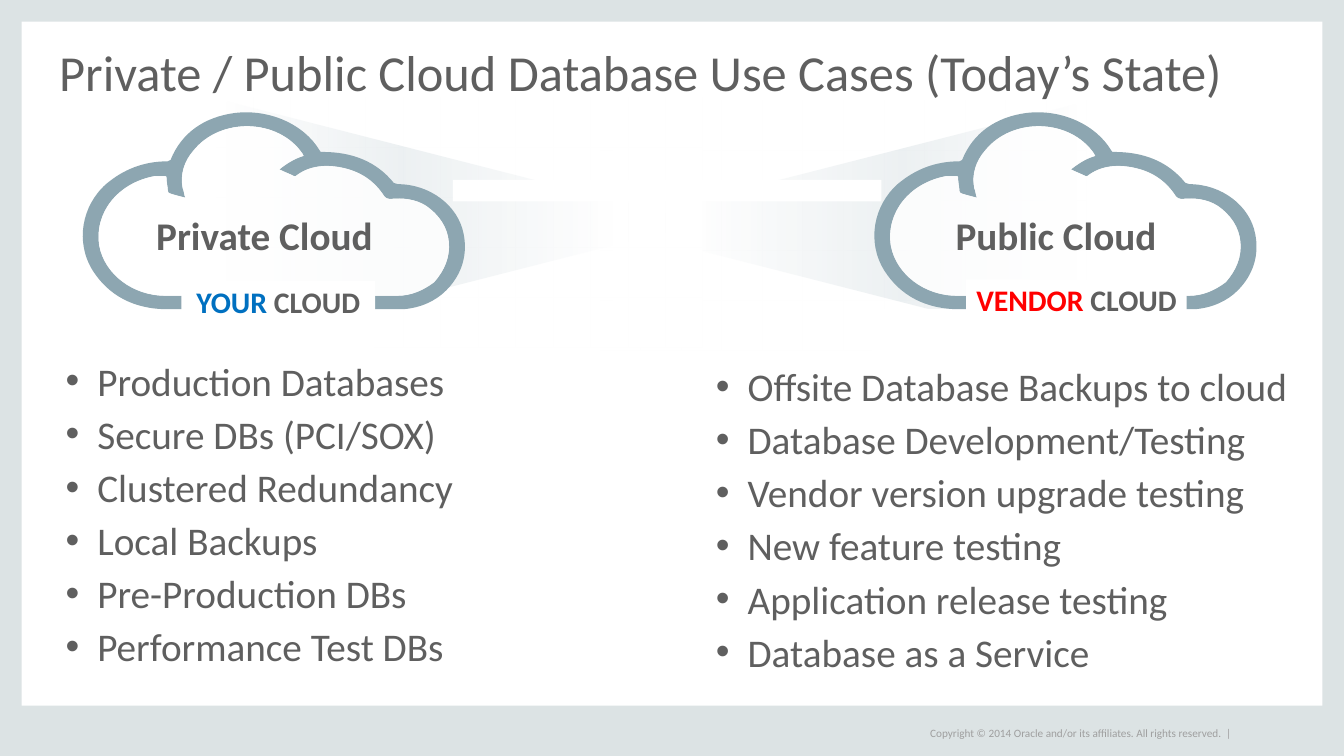
from lxml import etree
from pptx import Presentation
from pptx.dml.color import RGBColor
from pptx.enum.shapes import MSO_SHAPE
from pptx.enum.text import MSO_ANCHOR, PP_ALIGN
from pptx.oxml import parse_xml
from pptx.oxml.ns import nsdecls, qn
from pptx.util import Cm, Pt

RECT, WEDGE = MSO_SHAPE.RECTANGLE, MSO_SHAPE.ISOSCELES_TRIANGLE
TOP, MIDDLE, BOTTOM = MSO_ANCHOR.TOP, MSO_ANCHOR.MIDDLE, MSO_ANCHOR.BOTTOM
LEFT, CENTER = PP_ALIGN.LEFT, PP_ALIGN.CENTER
HEX = {"frame": "DCE3E4", "steel": "8DA6B1", "white": "FFFFFF", "text": "5F5F5F",
       "faint": "9F9F9F", "red": "FF0000", "blue": "0070C0"}
WIDE, HIGH = 25.4, 14.29
PAD = (0.25, 0.13, 0.25, 0.13)

# Cloud curves on a grid 292 wide: a start point, then three points a curve
GRID = 292
RIM = [(153, 149), (125, 149), (97, 149), (69, 149), (44, 149), (25, 139), (13, 120),
       (0, 99), (5, 72), (23, 56), (36, 45), (51, 39), (69, 39),
       (70, 39), (70, 39), (71, 38), (79, 18), (96, 6), (119, 3),
       (144, 0), (170, 11), (182, 31), (182, 32), (183, 32), (184, 32),
       (206, 32), (224, 39), (237, 55), (238, 56), (238, 56), (240, 56),
       (264, 56), (285, 72), (289, 93), (292, 108), (288, 123), (276, 135),
       (268, 143), (257, 148), (244, 149)]
CORE = [(82, 66), (78, 65), (74, 64), (71, 63), (70, 63), (69, 62), (69, 61),
        (69, 58), (68, 55), (68, 51), (68, 50), (68, 50), (66, 50),
        (64, 50), (62, 50), (59, 50), (32, 55), (14, 77), (18, 102),
        (22, 123), (43, 139), (67, 139), (125, 139), (182, 139), (240, 139),
        (250, 139), (259, 135), (267, 129), (275, 120), (279, 110), (278, 99),
        (277, 88), (271, 79), (261, 72), (253, 67), (244, 66), (234, 67),
        (232, 67), (231, 66), (230, 65), (223, 54), (213, 47), (200, 44),
        (187, 41), (174, 42), (164, 50), (163, 50), (163, 50), (163, 50),
        (159, 48), (156, 47), (152, 45), (157, 41), (163, 37), (170, 35),
        (170, 34), (170, 34), (169, 33), (151, 7), (108, 6), (88, 31),
        (81, 39), (78, 49), (80, 59), (81, 61), (81, 64), (82, 66)]


def apply(item, values):
    for name, value in values.items():
        setattr(item, name, value)


def paint(shape, fill, line=None):
    shape.shadow.inherit = False
    shape.fill.solid()
    shape.fill.fore_color.rgb = RGBColor.from_string(HEX[fill])
    if line:
        shape.line.color.rgb = RGBColor.from_string(HEX[line])
        shape.line.width = Pt(1.5)
    else:
        shape.line.fill.background()
    return shape


def block(slide, box, fill, kind=RECT, line=None):
    return paint(slide.shapes.add_shape(kind, *map(Cm, box)), fill, line)


def write(shape, lines, size, bold=False, align=LEFT, space=None,
          pad=PAD, anchor=TOP, wrap=True, bullet=False):
    """Fill a shape with lines, each a list of (text, colour) runs."""
    frame = shape.text_frame
    sides = ("margin_left", "margin_top", "margin_right", "margin_bottom")
    apply(frame, dict(zip(sides, map(Cm, pad))))
    apply(frame, {"word_wrap": wrap, "vertical_anchor": anchor})
    for i, runs in enumerate(lines):
        para = frame.add_paragraph() if i else frame.paragraphs[0]
        apply(para, {"alignment": align, "line_spacing": space})
        if bullet:
            props = para._p.get_or_add_pPr()
            props.set("marL", str(Cm(0.6)))
            props.set("indent", str(-Cm(0.6)))
            etree.SubElement(props, qn("a:buFont")).set("typeface", "Arial")
            etree.SubElement(props, qn("a:buChar")).set("char", "•")
        for text, color in runs:
            run = para.add_run()
            run.text = text
            apply(run.font, {"name": "Calibri", "size": Pt(size), "bold": bold})
            run.font.color.rgb = RGBColor.from_string(HEX[color])


def label(slide, box, lines, size, **style):
    write(slide.shapes.add_textbox(*map(Cm, box)), lines, size, **style)


def border(slide, box):
    x, y, w, h = box
    edge, foot = 0.41, 0.95
    for part in ((x, y, edge, h), (x + w - edge, y, edge, h),
                 (x, y + h - foot, w, foot), (x, y, w, edge)):
        block(slide, part, "frame")
    note = "Copyright © 2014 Oracle and/or its affiliates. All rights reserved.  |"
    label(slide, (x + 17.58, y + 13.67, 5.82, 0.38), [[(note, "faint")]], 6,
          pad=(0, 0, 0, 0), anchor=MIDDLE, wrap=False)


def beam(slide, box, turn, patch):
    """Draw a wedge behind a fading veil; turn 90 points right, 270 left."""
    x, y, w, h = box
    base, length = 4.52, 8.84
    shift = 0.05 if turn == 90 else -0.05
    wedge = block(slide, (x + (w - base) / 2 + shift, y + (h - length) / 2, base, length),
                  "steel", WEDGE, "steel")
    wedge.rotation = turn
    veil = block(slide, box, "white")
    veil.rotation = turn - 90
    stops = "".join(
        f'<a:gs pos="{pos * 1000}"><a:srgbClr val="{HEX["white"]}">'
        f'<a:alpha val="{alpha * 1000}"/></a:srgbClr></a:gs>'
        for pos, alpha in ((17, 100), (62, 83), (100, 100)))
    fade = parse_xml(f'<a:gradFill {nsdecls("a")} rotWithShape="1"><a:gsLst>{stops}'
                     '</a:gsLst><a:lin ang="10800000" scaled="0"/></a:gradFill>')
    solid = veil._element.spPr.find(qn("a:solidFill"))
    solid.getparent().replace(solid, fade)
    block(slide, patch, "white")


def bend(shape):
    """Turn every three straight segments into one cubic curve."""
    lines = list(shape._element.iter(qn("a:lnTo")))
    for i in range(0, len(lines), 3):
        curve, *ends = lines[i:i + 3]
        cubic = etree.Element(qn("a:cubicBezTo"))
        curve.addprevious(cubic)
        for line in (curve, *ends):
            cubic.append(line[0])
            line.getparent().remove(line)


def outline(slide, box, loops, fill):
    x, y, w, _ = box
    first, *rest = loops
    pen = slide.shapes.build_freeform(*first[0], scale=Cm(w) / GRID)
    pen.add_line_segments(first[1:], close=True)
    for loop in rest:
        pen.move_to(*loop[0])
        pen.add_line_segments(loop[1:], close=True)
    shape = paint(pen.convert_to_shape(Cm(x), Cm(y)), fill)
    bend(shape)
    return shape


def cloud(slide, box, name, owner, color, tag):
    x, y, w, _ = box
    outline(slide, box, (RIM, CORE), "steel")
    core = outline(slide, box, (CORE,), "white")
    tint = core._element.spPr.find(qn("a:solidFill"))[0]
    etree.SubElement(tint, qn("a:alpha")).set("val", "80000")
    label(slide, (x + 0.8, y + 1.9, 5.56, 1.07), [[(name, "text")]], 21,
          bold=True, align=CENTER, space=0.9)
    write(block(slide, tag, "white"), [[(owner + " ", color), ("CLOUD", "text")]], 16,
          bold=True, align=CENTER, space=0.9, wrap=False)


def cases(slide, box, items):
    label(slide, box, [[(item, "text")] for item in items], 21,
          space=Pt(28.5), bullet=True)


def main():
    deck = Presentation()
    apply(deck, {"slide_width": Cm(WIDE), "slide_height": Cm(HIGH)})
    slide = deck.slides.add_slide(deck.slide_layouts[6])
    border(slide, (0, 0, WIDE, HIGH))
    beam(slide, (11.35, 1.9, 9.19, 4.72), 270, (16.48, 5.84, 4.95, 1.96))
    beam(slide, (4.09, 1.85, 9.19, 4.72), 90, (2.13, 5.59, 4.95, 1.96))
    block(slide, (8.56, 3.4, 8.1, 0.41), "white")
    cloud(slide, (1.42, 2.06, 7.42, 3.81), "Private Cloud", "YOUR", "blue",
          (3.43, 5.31, 3.66, 0.86))
    cloud(slide, (16.38, 2.06, 7.42, 3.81), "Public Cloud", "VENDOR", "red",
          (18.26, 5.28, 4.17, 0.86))
    label(slide, (1.12, 0.84, 23.19, 1.07),
          [[("Private / Public Cloud Database Use Cases (Today’s State)", "text")]], 27,
          space=0.8, pad=(0, 0, 0, 0), anchor=BOTTOM)
    cases(slide, (0.99, 6.5, 8.59, 6.45),
          ("Production Databases", "Secure DBs (PCI/SOX)", "Clustered Redundancy",
           "Local Backups", "Pre-Production DBs", "Performance Test DBs"))
    cases(slide, (13.28, 6.6, 12.12, 6.45),
          ("Offsite Database Backups to cloud", "Database Development/Testing",
           "Vendor version upgrade testing", "New feature testing",
           "Application release testing", "Database as a Service"))
    deck.save("out.pptx")


if __name__ == "__main__":
    main()
